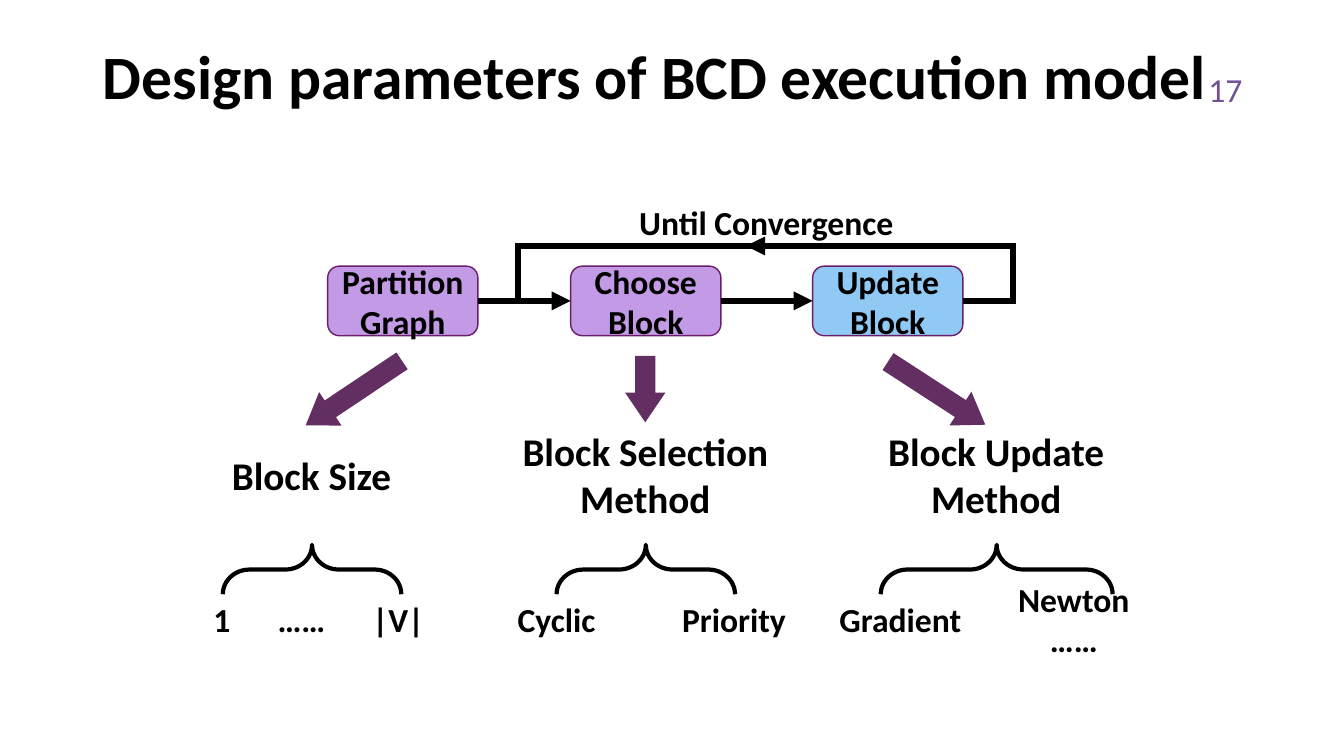
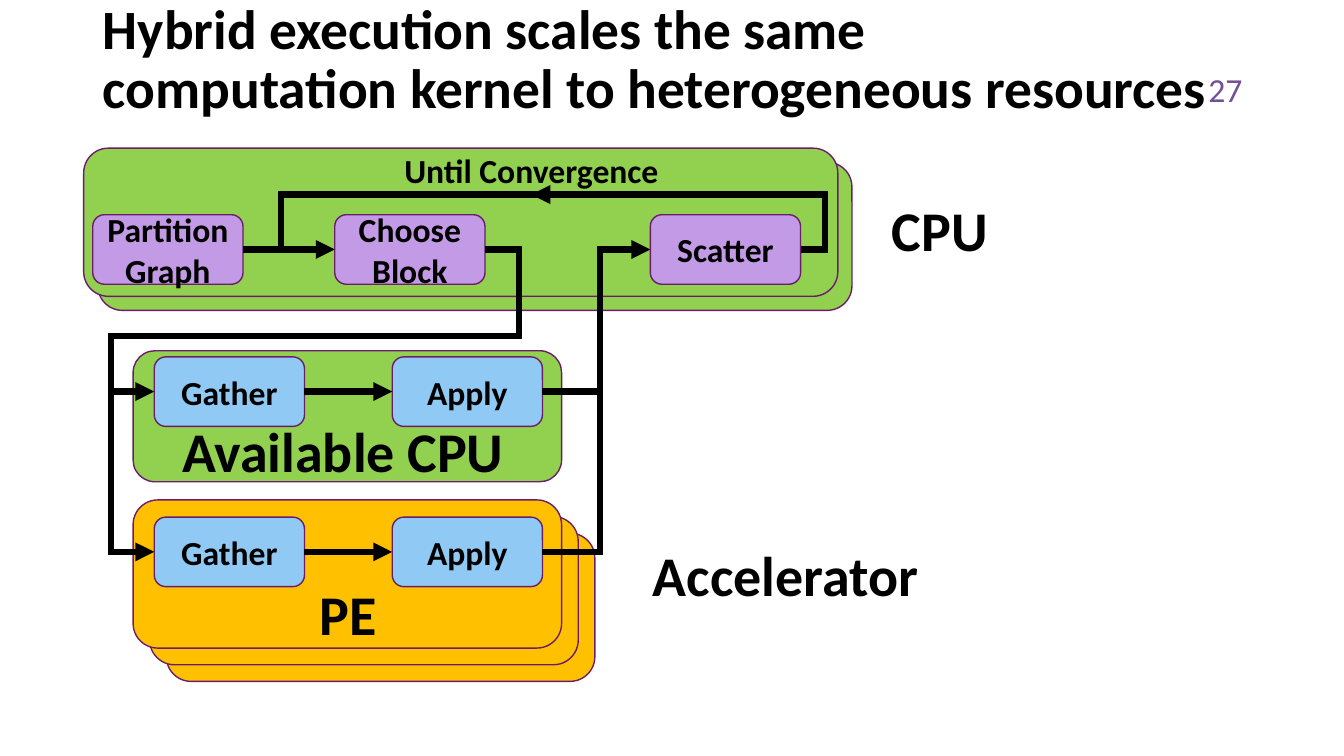
from lxml.etree import SubElement
from pptx import Presentation
from pptx.dml.color import RGBColor
from pptx.enum.shapes import MSO_CONNECTOR, MSO_SHAPE
from pptx.enum.text import MSO_ANCHOR, MSO_AUTO_SIZE, PP_ALIGN
from pptx.oxml.ns import qn
from pptx.util import Inches, Pt

BLACK = RGBColor(0x00, 0x00, 0x00)
PURPLE = RGBColor(0x71, 0x50, 0x96)
PLUM = RGBColor(0x63, 0x2E, 0x62)
EDGE = RGBColor(0x6C, 0x1D, 0x6A)
LILAC = RGBColor(0xC3, 0x9A, 0xE5)
BLUE = RGBColor(0x8F, 0xC9, 0xF4)
GREEN = RGBColor(0x92, 0xD0, 0x50)
AMBER = RGBColor(0xFF, 0xC0, 0x00)
FONT = "Calibri"
BOX_W, BOX_H = 1.49, 0.69

MODEL = {
    "title": ("Design parameters of BCD execution model", 0.4, 44),
    "number": "17",
    "top": 2.64,
    "boxes": [("Partition Graph", 3.25, LILAC), ("Choose Block", 5.66, LILAC),
              ("Update Block", 8.06, BLUE)],
    "branches": [
        {"heading": "Block Size", "center": 3.09, "brace": 1.77,
         "arrow": (3.51, 3.9, 1.15, 56.2),
         "leaves": [("1", 2.2), ("……", 2.99), ("|V|", 3.95)]},
        {"heading": "Block Selection Method", "center": 6.4, "brace": 1.77,
         "arrow": (6.4, 3.86, 0.66, 0),
         "leaves": [("Cyclic", 5.52), ("Priority", 7.28)]},
        {"heading": "Block Update Method", "center": 9.88, "brace": 2.3,
         "arrow": (9.29, 3.9, 1.15, 303),
         "leaves": [("Gradient", 8.93), ("Newton ……", 10.65)]},
    ],
}

HYBRID = {
    "title": ("Hybrid execution scales the same\n"
              "computation kernel to heterogeneous resources", 0.22, 39.6),
    "number": "27",
    "top": 2.13,
    "stacks": [(1.32, 3.48, 4.25, 1.3, GREEN, 1, 0),
               (0.83, 1.47, 7.48, 1.47, GREEN, 2, 0.14),
               (1.32, 4.96, 4.25, 1.47, AMBER, 3, 0.165)],
    "boxes": [("Partition Graph", 0.92, LILAC), ("Choose Block", 3.32, LILAC),
              ("Scatter", 6.45, LILAC)],
    "kernel": [("Gather", 1.53, BLUE), ("Apply", 3.89, BLUE)],
    "kernel_tops": [3.54, 5.13],
    "labels": [("CPU", 9.32, 1.89), ("Accelerator", 7.79, 5.31),
               ("PE", 3.45, 5.7), ("Available CPU", 3.4, 4.08)],
}


def style(p, size, color=BLACK, bold=True, align=PP_ALIGN.CENTER):
    p.alignment = align
    for r in p.runs:
        r.font.name, r.font.size, r.font.bold = FONT, Pt(size), bold
        r.font.color.rgb = color


def label(s, text, cx, top, w, h, size, wrap=False):
    sp = s.shapes.add_textbox(Inches(cx - w / 2), Inches(top), Inches(w), Inches(h))
    tf = sp.text_frame
    tf.word_wrap = wrap
    tf.vertical_anchor = MSO_ANCHOR.MIDDLE
    tf.text = text
    style(tf.paragraphs[0], size)
    return sp


def shape(s, kind, x, y, w, h, fill=None, line=None, weight=1):
    sp = s.shapes.add_shape(kind, Inches(x), Inches(y), Inches(w), Inches(h))
    sp.shadow.inherit = False
    if fill is None:
        sp.fill.background()
    else:
        sp.fill.solid()
        sp.fill.fore_color.rgb = fill
    if line is None:
        sp.line.fill.background()
    else:
        sp.line.color.rgb = line
        sp.line.width = Pt(weight)
    return sp


def boxes(s, items, top):
    made = []
    for text, x, fill in items:
        sp = shape(s, MSO_SHAPE.ROUNDED_RECTANGLE, x, top, BOX_W, BOX_H, fill, EDGE)
        tf = sp.text_frame
        tf.margin_left = tf.margin_right = Inches(0.05)
        tf.vertical_anchor = MSO_ANCHOR.MIDDLE
        tf.text = text
        style(tf.paragraphs[0], 24)
        made.append(sp)
    return made


def route(s, *stops, head=True):
    for i, (a, b) in enumerate(zip(stops, stops[1:]), 2):
        free = isinstance(a, tuple) and isinstance(b, tuple)
        start = (Inches(a[0]), Inches(a[1])) if isinstance(a, tuple) else (0, 0)
        end = (Inches(b[0]), Inches(b[1])) if isinstance(b, tuple) else (0, 0)
        c = s.shapes.add_connector(MSO_CONNECTOR.STRAIGHT, *start, *end)
        if not isinstance(a, tuple):
            c.begin_connect(a, 3)
        if not isinstance(b, tuple):
            c.end_connect(b, 1)
        c.line.color.rgb = BLACK
        c.line.width = Pt(4.5)
        props = c._element.spPr
        ln = props.find(qn("a:ln"))
        if head and i == len(stops):
            SubElement(ln, qn("a:tailEnd"), type="triangle")
        elif free:
            ln.set("cap", "sq")
        SubElement(props, qn("a:effectLst"))


def loop(s, box, left, right, top, mid, tip, center):
    route(s, box, (right, mid), (right, top), (left, top), (left, mid), head=False)
    route(s, (tip + 0.3, top), (tip, top))
    label(s, "Until Convergence", center, top - 0.49, 2.75, 0.5, 24)


def new_slide(prs, data):
    s = prs.slides.add_slide(prs.slide_layouts[5])
    text, top, size = data["title"]
    title = s.shapes.title
    title.left, title.top, title.width, title.height = map(Inches, (0.92, top, 11.5, 0.77))
    tf = title.text_frame
    tf.auto_size = MSO_AUTO_SIZE.NONE
    tf.vertical_anchor = MSO_ANCHOR.MIDDLE
    p = tf.paragraphs[0]
    p.text = text
    p.line_spacing = 0.9
    style(p, size, align=PP_ALIGN.LEFT)
    for br in p._p.findall(qn("a:br")):
        SubElement(br, qn("a:rPr"), sz=str(round(size * 100)))
    number = label(s, data["number"], 10.92, 0.68, 3, 0.4, 24, wrap=True)
    style(number.text_frame.paragraphs[0], 24, PURPLE, False, PP_ALIGN.RIGHT)
    return s


def model_slide(prs):
    s = new_slide(prs, MODEL)
    for branch in MODEL["branches"]:
        cx, span = branch["center"], branch["brace"]
        ax, ay, length, angle = branch["arrow"]
        arrow = shape(s, MSO_SHAPE.DOWN_ARROW, ax - 0.2, ay - length / 2, 0.4, length, PLUM)
        arrow.adjustments[1] = 0.735
        arrow.rotation = angle
        label(s, branch["heading"], cx, 4.19, 2.82, 1.04, 28, wrap=True)
        brace = shape(s, MSO_SHAPE.LEFT_BRACE, cx - 0.24, 5.65 - span / 2, 0.49, span,
                      line=BLACK, weight=3)
        brace.adjustments[0] = 0.54
        brace.rotation = 90
        for text, x in branch["leaves"]:
            label(s, text, x, 5.89, 1.5, 0.5, 24)
    partition, choose, update = boxes(s, MODEL["boxes"], MODEL["top"])
    route(s, partition, choose)
    route(s, choose, update)
    loop(s, update, 5.14, 10.05, 2.44, MODEL["top"] + BOX_H / 2, 7.4, 7.6)


def hybrid_slide(prs):
    s = new_slide(prs, HYBRID)
    for x, y, w, h, fill, count, step in HYBRID["stacks"]:
        for i in reversed(range(count)):
            shape(s, MSO_SHAPE.ROUNDED_RECTANGLE, x + i * step, y + i * step, w, h, fill, EDGE)
    mid = HYBRID["top"] + BOX_H / 2
    partition, choose, scatter = boxes(s, HYBRID["boxes"], HYBRID["top"])
    route(s, partition, choose)
    loop(s, scatter, 2.79, 8.18, 1.93, mid, 5.27, 5.27)
    fork, join, turn, bus = 1.1, 5.95, 5.15, 3.33
    for top in HYBRID["kernel_tops"]:
        gather, apply = boxes(s, HYBRID["kernel"], top)
        row = top + BOX_H / 2
        route(s, (fork, row), gather)
        route(s, gather, apply)
        route(s, apply, (join, row), head=False)
    route(s, choose, (turn, mid), (turn, bus), (fork, bus), (fork, row), head=False)
    route(s, (join, row), (join, mid), scatter)
    for text, cx, top in HYBRID["labels"]:
        label(s, text, cx, top, 3.42, 0.77, 40)


def main():
    prs = Presentation()
    prs.slide_width, prs.slide_height = Inches(13.33), Inches(7.5)
    model_slide(prs)
    hybrid_slide(prs)
    prs.save("out.pptx")


if __name__ == "__main__":
    main()
